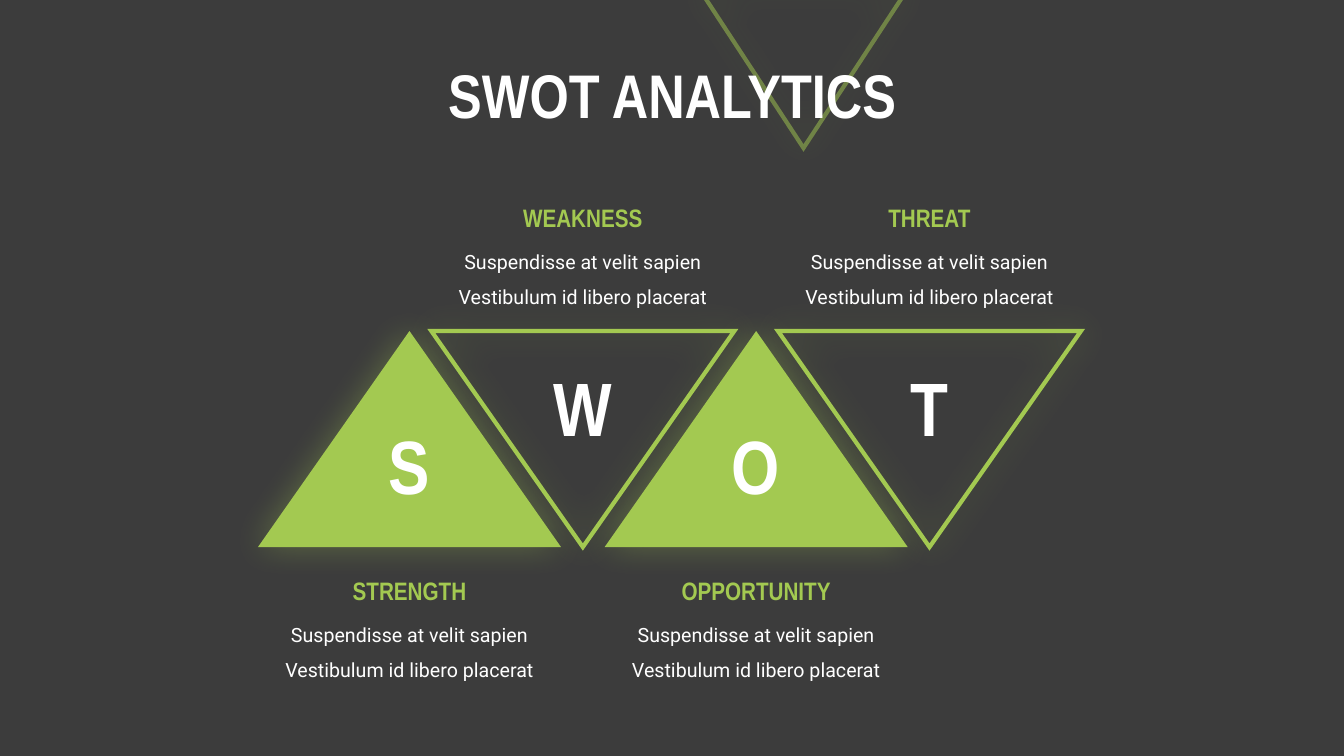
from dataclasses import dataclass

import lxml.etree
import pptx
import pptx.dml.color
import pptx.enum.shapes
import pptx.enum.text
import pptx.oxml.ns
import pptx.util

TITLE = "SWOT ANALYTICS"
DETAIL = "Suspendisse at velit sapien Vestibulum id libero placerat"
FACTORS = [
    ("S", "STRENGTH", DETAIL),
    ("W", "WEAKNESS", DETAIL),
    ("O", "OPPORTUNITY", DETAIL),
    ("T", "THREAT", DETAIL),
]


@dataclass(frozen=True)
class Theme:
    background: str = "3C3C3C"
    accent: str = "A3C951"
    text: str = "FFFFFF"
    display_font: str = "Arial Narrow"
    body_font: str = "Roboto"
    title_size: int = 44
    letter_size: int = 54
    heading_size: int = 18
    detail_size: int = 14
    outline: int = 3
    glow_blur: int = 25
    glow_alpha: int = 35
    backdrop_alpha: int = 50


THEME = Theme()
SLIDE_W, SLIDE_H = 1344, 756
EMU_PER_PX = 12192000 / SLIDE_W

TITLE_BOX = (330, 49, 685, 99)
BACKDROP_BOX = (700, -10, 207, 158)
FIRST_LEFT, LAST_LEFT = 258, 778
TRIANGLE_TOP, TRIANGLE_W, TRIANGLE_H = 331, 303, 216
LETTER_W, LETTER_H = 102, 102
HEADING_W, HEADING_H = 247, 40
DETAIL_W, DETAIL_H = 300, 78
UPRIGHT_TOPS = (414, 570, 606)
INVERTED_TOPS = (356, 197, 233)


def emu(box):
    return [pptx.util.Emu(round(length * EMU_PER_PX)) for length in box]


def rgb(color):
    return pptx.dml.color.RGBColor.from_string(color)


def add_child(parent, tag, **attributes):
    child = lxml.etree.SubElement(parent, pptx.oxml.ns.qn(tag))
    for name, value in attributes.items():
        child.set(name, str(value))
    return child


def write(frame, text, size, color, font, bold, spacing=None):
    paragraph = frame.paragraphs[0]
    paragraph.alignment = pptx.enum.text.PP_ALIGN.CENTER
    if spacing:
        paragraph.line_spacing = spacing
    run = paragraph.add_run()
    run.text = text
    run.font.size = pptx.util.Pt(size)
    run.font.name = font
    run.font.bold = bold
    run.font.color.rgb = rgb(color)


def add_text(slide, center, top, width, height, *style):
    frame = slide.shapes.add_textbox(*emu((center - width / 2, top, width, height))).text_frame
    frame.word_wrap = True
    frame.auto_size = pptx.enum.text.MSO_AUTO_SIZE.SHAPE_TO_FIT_TEXT
    write(frame, *style)


def add_triangle(slide, box, inverted, alpha=None):
    triangle = slide.shapes.add_shape(
        pptx.enum.shapes.MSO_SHAPE.ISOSCELES_TRIANGLE, *emu(box))
    if inverted:
        triangle.rotation = 180
        triangle.fill.background()
        triangle.line.color.rgb = rgb(THEME.accent)
        triangle.line.width = pptx.util.Pt(THEME.outline)
        outline = triangle._element.spPr.find(pptx.oxml.ns.qn("a:ln"))
        if alpha:
            line_color = outline.find(".//" + pptx.oxml.ns.qn("a:srgbClr"))
            add_child(line_color, "a:alpha", val=alpha * 1000)
        add_child(outline, "a:miter", lim=800000)
    else:
        triangle.fill.solid()
        triangle.fill.fore_color.rgb = rgb(THEME.accent)
        triangle.line.fill.background()
    triangle.shadow.inherit = False
    effects = triangle._element.spPr.find(pptx.oxml.ns.qn("a:effectLst"))
    glow = add_child(effects, "a:outerShdw", blurRad=pptx.util.Pt(THEME.glow_blur),
                     dist=0, dir=0, algn="ctr", rotWithShape=0)
    glow_color = add_child(glow, "a:srgbClr", val=THEME.accent)
    add_child(glow_color, "a:alpha", val=THEME.glow_alpha * 1000)
    return triangle


def add_factor(slide, index, letter, heading, detail):
    left = FIRST_LEFT + index * (LAST_LEFT - FIRST_LEFT) / (len(FACTORS) - 1)
    center = left + TRIANGLE_W / 2
    inverted = index % 2 == 1
    letter_top, heading_top, detail_top = INVERTED_TOPS if inverted else UPRIGHT_TOPS
    add_triangle(slide, (left, TRIANGLE_TOP, TRIANGLE_W, TRIANGLE_H), inverted)
    add_text(slide, center, letter_top, LETTER_W, LETTER_H,
             letter, THEME.letter_size, THEME.text, THEME.display_font, True)
    add_text(slide, center, detail_top, DETAIL_W, DETAIL_H,
             detail, THEME.detail_size, THEME.text, THEME.body_font, False, 1.5)
    add_text(slide, center, heading_top, HEADING_W, HEADING_H,
             heading, THEME.heading_size, THEME.accent, THEME.display_font, True)


def main():
    deck = pptx.Presentation()
    deck.slide_width, deck.slide_height = emu((SLIDE_W, SLIDE_H))
    slide = deck.slides.add_slide(deck.slide_layouts.get_by_name("Title Only"))
    slide.background.fill.solid()
    slide.background.fill.fore_color.rgb = rgb(THEME.background)

    title = slide.shapes.title
    title.left, title.top, title.width, title.height = emu(TITLE_BOX)
    title.text_frame.word_wrap = True
    title.text_frame.auto_size = pptx.enum.text.MSO_AUTO_SIZE.NONE
    title.text_frame.vertical_anchor = pptx.enum.text.MSO_ANCHOR.MIDDLE
    write(title.text_frame, TITLE, THEME.title_size, THEME.text, THEME.display_font, True, 0.9)

    backdrop = add_triangle(slide, BACKDROP_BOX, True, THEME.backdrop_alpha)
    title._element.addprevious(backdrop._element)

    for index, factor in enumerate(FACTORS):
        add_factor(slide, index, *factor)
    deck.save("out.pptx")


if __name__ == "__main__":
    main()
